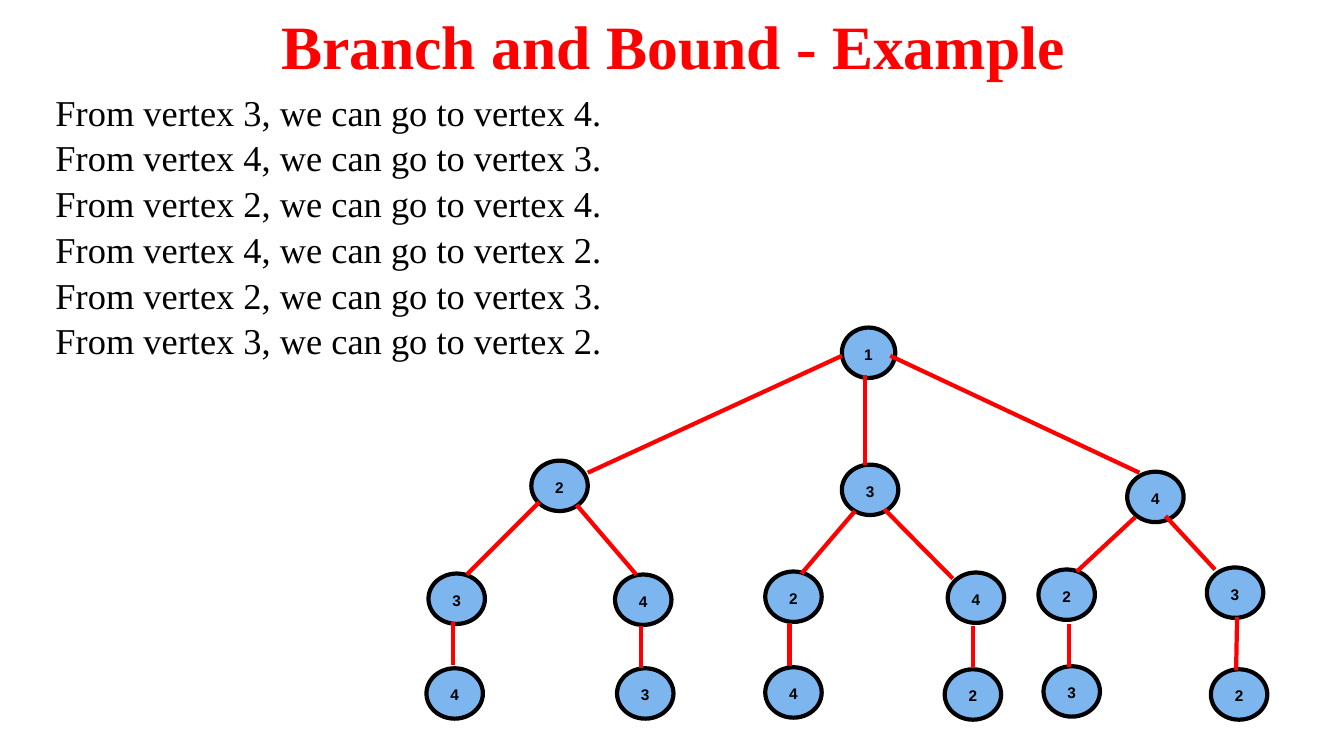
import pptx
import pptx.dml.color
import pptx.enum.shapes
import pptx.enum.text
import pptx.oxml
import pptx.oxml.ns
import pptx.util

Inches = pptx.util.Inches
Pt = pptx.util.Pt
Align = pptx.enum.text.PP_ALIGN
Anchor = pptx.enum.text.MSO_ANCHOR

RED = pptx.dml.color.RGBColor(0xFF, 0x00, 0x00)
BLACK = pptx.dml.color.RGBColor(0x00, 0x00, 0x00)
BLUE = pptx.dml.color.RGBColor(0x7D, 0xB6, 0xEF)

MOVES = [(3, 4), (4, 3), (2, 4), (4, 2), (2, 3), (3, 2)]

ROOT_WIDTH = 0.53
VERTICES = [
    (2, 5.27, 4.57), (3, 8.35, 4.61), (4, 11.18, 4.68),
    (3, 4.25, 5.69), (4, 6.1, 5.7), (2, 7.59, 5.67),
    (4, 9.4, 5.68), (2, 10.3, 5.65), (3, 11.97, 5.63),
    (4, 4.23, 6.63), (3, 6.12, 6.63), (4, 7.59, 6.62),
    (2, 9.37, 6.64), (3, 10.35, 6.61), (2, 12.01, 6.64),
]

BRANCHES = [
    (8.35, 3.53, 5.83, 4.69), (8.83, 3.53, 11.3, 4.69), (8.58, 3.72, 8.58, 4.61),
    (5.35, 4.98, 4.63, 5.7), (5.72, 5.01, 6.31, 5.7),
    (8.48, 5.07, 7.95, 5.69), (8.77, 5.05, 9.45, 5.74),
    (11.26, 5.13, 10.68, 5.67), (11.56, 5.12, 12.05, 5.65),
    (4.49, 6.17, 4.49, 6.6), (6.36, 6.21, 6.36, 6.63),
    (7.83, 6.18, 7.83, 6.61), (9.65, 6.21, 9.65, 6.63),
    (10.6, 6.19, 10.6, 6.62), (12.27, 6.12, 12.26, 6.65),
]


class TreePage:
    """Holds the style and the current slide of a search tree."""

    text_font = "Times New Roman"
    label_font = "Arial"
    line_width = Pt(3)

    def __init__(self, deck):
        self.page = deck.slides.add_slide(deck.slide_layouts[1])

    def place(self, box, left, top, width, height, anchor):
        box.left, box.top = Inches(left), Inches(top)
        box.width, box.height = Inches(width), Inches(height)
        frame = box.text_frame
        frame.word_wrap = True
        frame.auto_size = pptx.enum.text.MSO_AUTO_SIZE.NONE
        frame.vertical_anchor = anchor
        return frame

    def add_text(self, para, text, font, size, color, align, bold=False):
        para.alignment = align
        span = para.add_run()
        span.text = text
        span.font.name = font
        span.font.size = Pt(size)
        span.font.bold = bold
        span.font.color.rgb = color

    def title(self, text):
        frame = self.place(self.page.shapes.title, 0.68, 0.13, 12, 0.63, Anchor.MIDDLE)
        self.add_text(frame.paragraphs[0], text, self.text_font, 44, RED, Align.CENTER, True)

    def body(self, lines):
        frame = self.place(self.page.placeholders[1], 0.45, 0.84, 12.6, 6.46, Anchor.TOP)
        for index, line in enumerate(lines):
            para = frame.add_paragraph() if index else frame.paragraphs[0]
            properties = para._p.get_or_add_pPr()
            properties.set("marL", "0")
            properties.set("indent", "0")
            properties.append(pptx.oxml.parse_xml(
                "<a:buNone %s/>" % pptx.oxml.ns.nsdecls("a")))
            para.space_before = Pt(1.5 if index else 0)
            self.add_text(para, line, self.text_font, 26, BLACK, Align.JUSTIFY)

    def vertex(self, label, left, top, width=0.56, height=0.5):
        circle = self.page.shapes.add_shape(
            pptx.enum.shapes.MSO_SHAPE.OVAL,
            Inches(left), Inches(top), Inches(width), Inches(height))
        circle.shadow.inherit = False
        circle.fill.solid()
        circle.fill.fore_color.rgb = BLUE
        circle.line.color.rgb = BLACK
        circle.line.width = self.line_width
        circle.text_frame.vertical_anchor = Anchor.MIDDLE
        para = circle.text_frame.paragraphs[0]
        para.line_spacing = 1.15
        para.space_after = Pt(10)
        self.add_text(para, str(label), self.label_font, 11, BLACK, Align.CENTER, True)

    def branch(self, *ends):
        line = self.page.shapes.add_connector(
            pptx.enum.shapes.MSO_CONNECTOR.STRAIGHT, *map(Inches, ends))
        line.line.color.rgb = RED
        line.line.width = self.line_width
        line._element.spPr.append(pptx.oxml.parse_xml(
            "<a:effectLst %s/>" % pptx.oxml.ns.nsdecls("a")))


def main():
    deck = pptx.Presentation()
    deck.slide_width, deck.slide_height = Inches(13.33), Inches(7.5)
    tree = TreePage(deck)
    tree.title("Branch and Bound - Example")
    tree.body(f"From vertex {start}, we can go to vertex {goal}." for start, goal in MOVES)
    tree.vertex(1, 8.35, 3.25, ROOT_WIDTH)
    for vertex in VERTICES:
        tree.vertex(*vertex)
    for branch in BRANCHES:
        tree.branch(*branch)
    deck.save("out.pptx")


if __name__ == "__main__":
    main()
